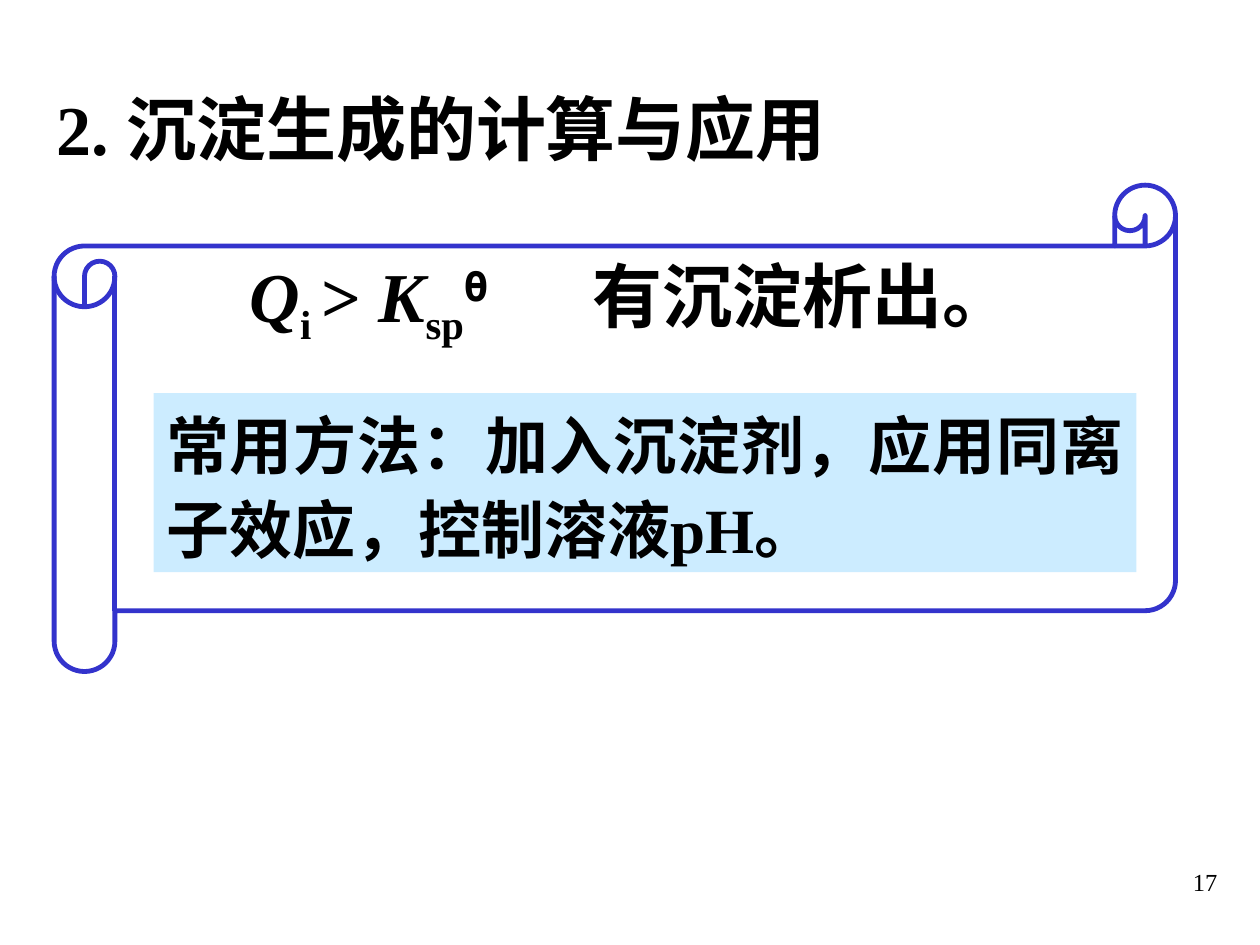
from lxml.etree import SubElement
from pptx import Presentation
from pptx.dml.color import RGBColor
from pptx.enum.shapes import MSO_SHAPE
from pptx.enum.text import MSO_ANCHOR, PP_ALIGN
from pptx.oxml.ns import qn
from pptx.util import Inches, Pt

LATIN, HAN, MONO = "Times New Roman", "Noto Sans CJK SC", "DejaVu Sans Mono"
SUB, SUP = -25, 30

TITLE = [("2. 沉淀生成的计算与应用", {})]
RULE = [
    ("Q", {"italic": True}),
    ("i ", {"base": SUB}),
    ("> ", {}),
    ("K", {"italic": True}),
    ("sp", {"base": SUB}),
    ("Ɵ", {"base": SUP, "font": MONO}),
    ("\t有沉淀析出。", {"font": HAN}),
]
METHOD = [("常用方法：加入沉淀剂，应用同离子效应，控制溶液pH。", {})]
NUMBER = [("17", {})]


def color(code):
    return RGBColor.from_string(code)


def write(shape, runs, size=40, bold=True, align=PP_ALIGN.LEFT,
          anchor=MSO_ANCHOR.TOP, space=1.0, inset=0.1, tab=None):
    frame = shape.text_frame
    frame.word_wrap = True
    frame.vertical_anchor = anchor
    frame.margin_left = Inches(inset)
    par = frame.paragraphs[0]
    par.alignment, par.line_spacing = align, space
    if tab:
        stops = SubElement(par._p.get_or_add_pPr(), qn("a:tabLst"))
        SubElement(stops, qn("a:tab"), pos=str(Inches(tab)), algn="l")
    for text, form in runs:
        run = par.add_run()
        run.text = text
        font = run.font
        font.size, font.bold = Pt(size), bold
        font.italic = form.get("italic", False)
        font.name = form.get("font", LATIN)
        font.color.rgb = color("000000")
        props = run._r.get_or_add_rPr()
        SubElement(props, qn("a:ea"), typeface=HAN)
        if "base" in form:
            props.set("baseline", str(form["base"] * 1000))


def draw(slide, kind, box, fill=None, line=None):
    shape = slide.shapes.add_shape(kind, *map(Inches, box))
    shape.shadow.inherit = False
    if fill:
        shape.fill.solid()
        shape.fill.fore_color.rgb = color(fill)
    else:
        shape.fill.background()
    if line:
        shape.line.color.rgb = color(line)
        shape.line.width = Pt(2.75)
    else:
        shape.line.fill.background()
    return shape


def label(slide, box):
    return slide.shapes.add_textbox(*map(Inches, box))


def main():
    deck = Presentation()
    deck.slide_width, deck.slide_height = Inches(10), Inches(7.5)
    slide = deck.slides.add_slide(deck.slide_layouts[6])

    write(label(slide, (7.68, 6.83, 2.08, 0.5)), NUMBER,
          size=14, bold=False, align=PP_ALIGN.RIGHT)
    write(label(slide, (0.35, 0.52, 8.58, 0.98)), TITLE,
          anchor=MSO_ANCHOR.MIDDLE)

    scroll = draw(slide, MSO_SHAPE.HORIZONTAL_SCROLL,
                  (0.43, 1.47, 8.9, 3.86), line="3333CC")
    scroll.adjustments[0] = 0.125
    write(scroll, RULE, inset=1.07, tab=2.72)

    panel = draw(slide, MSO_SHAPE.RECTANGLE, (1.22, 3.12, 7.8, 1.42),
                 fill="CCECFF")
    write(panel, METHOD, size=36, align=PP_ALIGN.JUSTIFY, space=1.1)

    deck.save("out.pptx")


if __name__ == "__main__":
    main()
